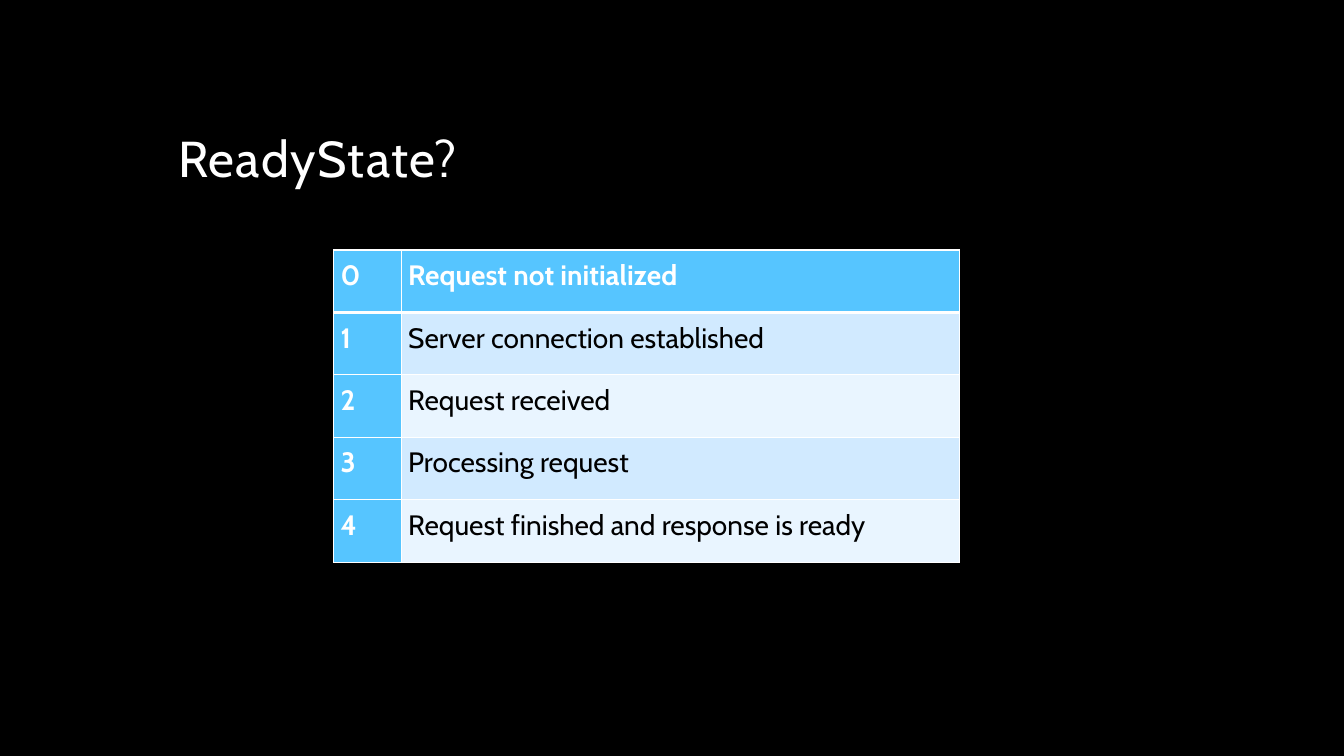
import pptx
import pptx.dml.color
import pptx.enum.text
import pptx.oxml
import pptx.oxml.ns
import pptx.util
from dataclasses import dataclass


@dataclass(frozen=True)
class Theme:
    font: str = "Cabin"
    background: str = "000000"
    light: str = "FFFFFF"
    dark: str = "000000"
    accent: str = "56C5FF"
    bands: tuple = ("E9F5FF", "D1EAFF")
    title_size: int = 36
    table_size: int = 20
    thin_border: int = 1
    heading_border: int = 3


THEME = Theme()
SLIDE_WIDTH = pptx.util.Inches(13.33)
SLIDE_HEIGHT = pptx.util.Inches(7.5)
GRID_COLUMNS, GRID_ROWS = 160, 90
TITLE_BOX = (20, 5, 120, 18)
TABLE_ORIGIN = (39.72, 29.76)
TABLE_COLUMNS = (8.04, 66.48)
TABLE_ROW = 7.44
READY_STATES = (
    "Request not initialized",
    "Server connection established",
    "Request received",
    "Processing request",
    "Request finished and response is ready",
)
ALIGN = pptx.enum.text.PP_ALIGN


def across(columns):
    return round(SLIDE_WIDTH * columns / GRID_COLUMNS)


def down(rows):
    return round(SLIDE_HEIGHT * rows / GRID_ROWS)


def apply_format(target, values):
    for name, value in values.items():
        setattr(target, name, value)


def set_fill(fill, color):
    fill.solid()
    fill.fore_color.rgb = pptx.dml.color.RGBColor.from_string(color)


def write_text(frame, text, paragraph_format, font_format, color):
    paragraph = frame.paragraphs[0]
    apply_format(paragraph, paragraph_format)
    run = paragraph.add_run()
    run.text = text
    apply_format(run.font, {"name": THEME.font, **font_format})
    run.font.color.rgb = pptx.dml.color.RGBColor.from_string(color)
    return run


def set_borders(cell, widths):
    properties = cell._tc.get_or_add_tcPr()
    for index, (side, width) in enumerate(widths.items()):
        line = pptx.oxml.parse_xml(
            f'<a:ln{side} {pptx.oxml.ns.nsdecls("a")} w="{pptx.util.Pt(width)}">'
            f'<a:solidFill><a:srgbClr val="{THEME.light}"/></a:solidFill>'
            f'</a:ln{side}>'
        )
        properties.insert(index, line)


def add_title(slide, text):
    title = slide.shapes.title
    left, top, width, height = TITLE_BOX
    apply_format(title, {
        "left": across(left), "top": down(top),
        "width": across(width), "height": down(height),
    })
    apply_format(title.text_frame, {
        "word_wrap": True,
        "auto_size": pptx.enum.text.MSO_AUTO_SIZE.NONE,
        "vertical_anchor": pptx.enum.text.MSO_ANCHOR.BOTTOM,
    })
    run = write_text(
        title.text_frame, text,
        {"alignment": ALIGN.LEFT, "line_spacing": 0.9},
        {"size": pptx.util.Pt(THEME.title_size)}, THEME.light,
    )
    run._r.get_or_add_rPr().set("spc", "100")


def format_cell(cell, text, row, column, alignment):
    emphasized = row == 0 or column == 0
    inset = pptx.util.Inches(0.07)
    apply_format(cell, {
        "margin_left": inset, "margin_right": inset,
        "margin_top": 0, "margin_bottom": 0,
    })
    set_fill(cell.fill, THEME.accent if emphasized else THEME.bands[row % 2])
    write_text(
        cell.text_frame, text,
        {"alignment": alignment, "line_spacing": 1.25},
        {"size": pptx.util.Pt(THEME.table_size), "bold": emphasized},
        THEME.light if emphasized else THEME.dark,
    )
    set_borders(cell, {
        "L": THEME.thin_border,
        "R": THEME.thin_border,
        "T": THEME.heading_border if row == 1 else THEME.thin_border,
        "B": THEME.heading_border if row == 0 else THEME.thin_border,
    })


def add_state_table(slide, states):
    left, top = TABLE_ORIGIN
    table = slide.shapes.add_table(
        len(states), len(TABLE_COLUMNS), across(left), down(top),
        across(sum(TABLE_COLUMNS)), down(TABLE_ROW * len(states)),
    ).table
    apply_format(table, {"first_row": False, "horz_banding": False})
    for column, width in zip(table.columns, TABLE_COLUMNS):
        column.width = across(width)
    for row, state in enumerate(states):
        table.rows[row].height = down(TABLE_ROW)
        for column, text in enumerate((str(row), state)):
            last_cell = row == len(states) - 1 and column == 1
            alignment = ALIGN.LEFT if last_cell else ALIGN.JUSTIFY
            format_cell(table.cell(row, column), text, row, column, alignment)


def main():
    presentation = pptx.Presentation()
    apply_format(presentation, {
        "slide_width": SLIDE_WIDTH, "slide_height": SLIDE_HEIGHT,
    })
    slide = presentation.slides.add_slide(presentation.slide_layouts[5])
    set_fill(slide.background.fill, THEME.background)
    add_title(slide, "ReadyState?")
    add_state_table(slide, READY_STATES)
    presentation.save("out.pptx")


if __name__ == "__main__":
    main()
